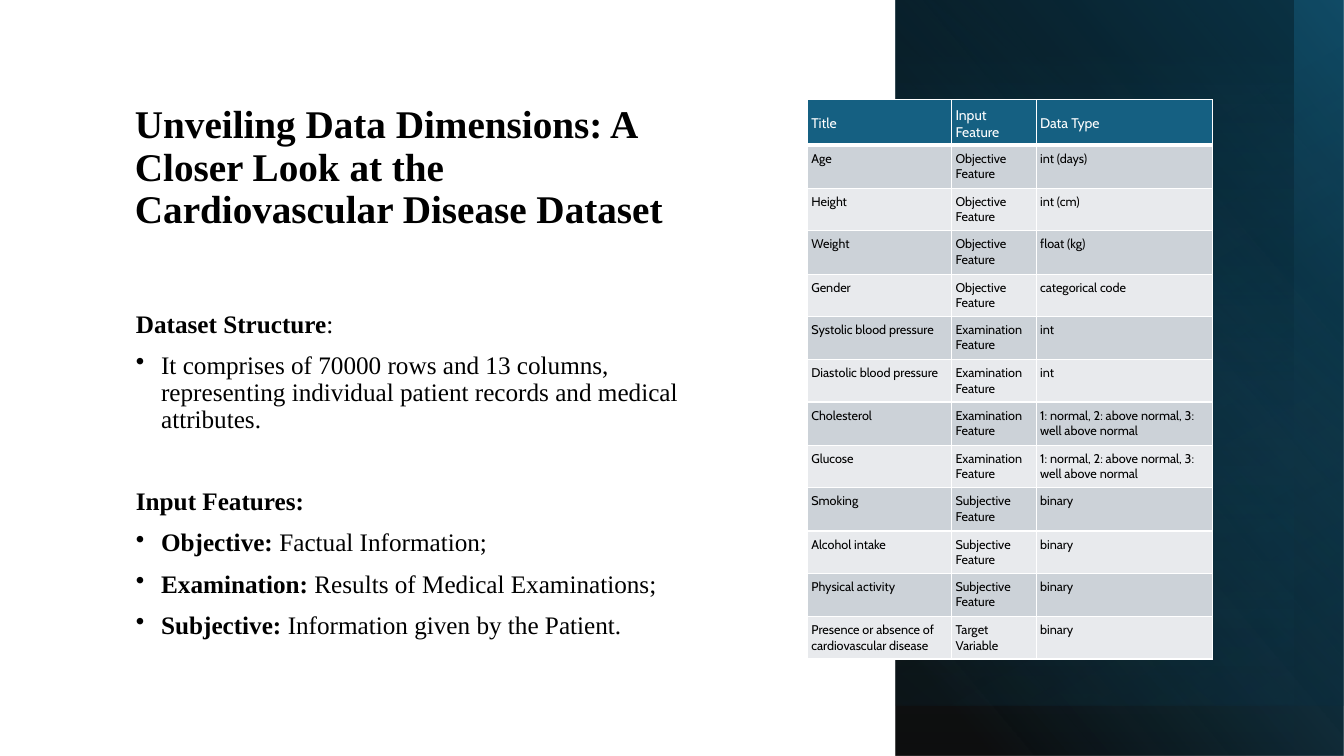
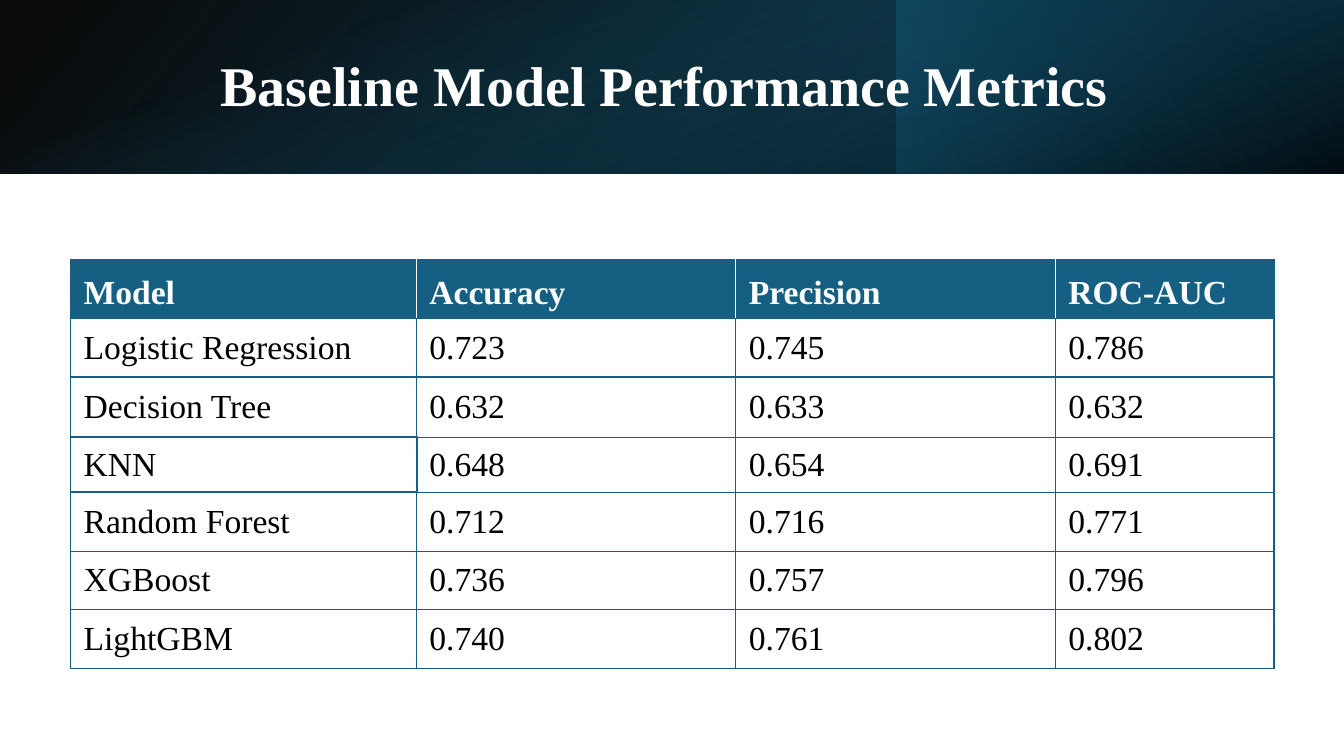
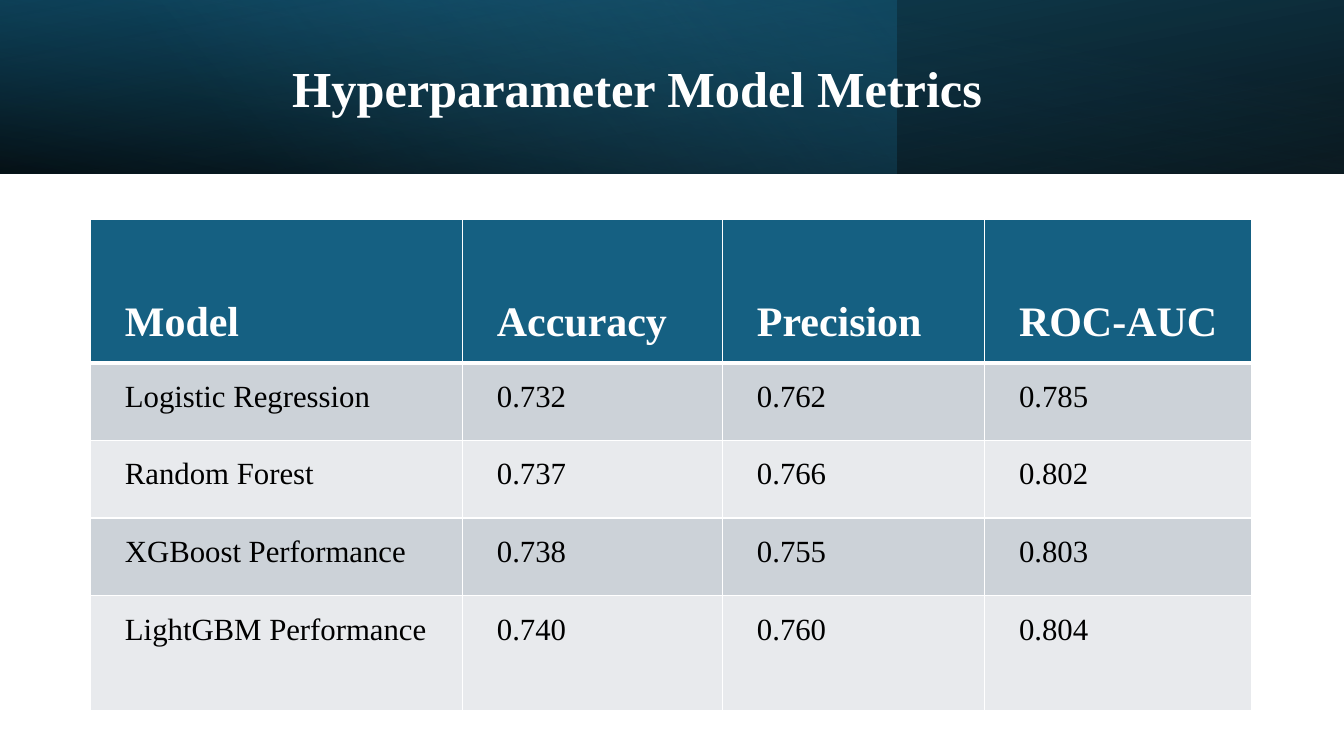
"""Build three slides on a cardiovascular data set and its model scores."""
from dataclasses import dataclass

from pptx import Presentation
from pptx.dml.color import RGBColor
from pptx.enum.shapes import MSO_SHAPE
from pptx.enum.text import MSO_ANCHOR
from pptx.oxml import parse_xml
from pptx.oxml.ns import nsdecls, qn
from pptx.util import Pt

PX = 9144
SERIF = "Times New Roman"
BLACK, WHITE, BLUE = "000000", "FFFFFF", "156082"
NAVY, DEEP_BLUE, SKY = "0B3041", "104862", "46B1E1"
STRIPES = ("CCD2D8", "E8EAED")
PLAIN_TABLE = "{2D5ABB26-0587-4C30-8999-92F81FD0307C}"
BAND_HEIGHT = 172
METRICS = ["Model", "Accuracy", "Precision", "ROC-AUC"]
FEATURES = [
    ["Title", "Input Feature", "Data Type"],
    ["Age", "Objective Feature", "int (days)"],
    ["Height", "Objective Feature", "int (cm)"],
    ["Weight", "Objective Feature", "float (kg)"],
    ["Gender", "Objective Feature", "categorical code"],
    ["Systolic blood pressure", "Examination Feature", "int"],
    ["Diastolic blood pressure", "Examination Feature", "int"],
    ["Cholesterol", "Examination Feature", "1: normal, 2: above normal, 3: well above normal"],
    ["Glucose", "Examination Feature", "1: normal, 2: above normal, 3: well above normal"],
    ["Smoking", "Subjective Feature", "binary"],
    ["Alcohol intake", "Subjective Feature", "binary"],
    ["Physical activity", "Subjective Feature", "binary"],
    ["Presence or absence of cardiovascular disease", "Target Variable", "binary"],
]
BASELINE = [
    METRICS,
    ["Logistic Regression", "0.723", "0.745", "0.786"],
    ["Decision Tree", "0.632", "0.633", "0.632"],
    ["KNN", "0.648", "0.654", "0.691"],
    ["Random Forest", "0.712", "0.716", "0.771"],
    ["XGBoost", "0.736", "0.757", "0.796"],
    ["LightGBM", "0.740", "0.761", "0.802"],
]
TUNED = [
    METRICS,
    ["Logistic Regression", "0.732", "0.762", "0.785"],
    ["Random Forest", "0.737", "0.766", "0.802"],
    ["XGBoost Performance", "0.738", "0.755", "0.803"],
    ["LightGBM Performance", "0.740", "0.760", "0.804"],
]


@dataclass
class TableStyle:
    """Hold the look of one table."""
    font: str
    header_size: int
    body_size: int
    header_bold: bool
    margins: tuple
    header_anchor: MSO_ANCHOR
    body_anchor: MSO_ANCHOR
    line: str = WHITE
    header_rule: int = 3
    header_fill: str = BLUE
    stripes: tuple = STRIPES


FEATURE_STYLE = TableStyle("Cabin", 10, 9, False, (4, 6, 4, 3), MSO_ANCHOR.MIDDLE, MSO_ANCHOR.TOP)
BASELINE_STYLE = TableStyle(SERIF, 24, 24, True, (13, 7, 13, 7), MSO_ANCHOR.BOTTOM,
                            MSO_ANCHOR.MIDDLE, BLUE, 1, BLUE, (None, None))
HIGHLIGHT_STYLE = TableStyle(SERIF, 18, 18, False, (10, 5, 10, 5), MSO_ANCHOR.TOP,
                             MSO_ANCHOR.TOP, BLUE, 1, None, (None, None))
TUNED_STYLE = TableStyle(SERIF, 30, 22, True, (34, 17, 25, 17), MSO_ANCHOR.BOTTOM, MSO_ANCHOR.TOP)


def px(length):
    """Turn px into EMU."""
    return length * PX


def colour(value):
    """Turn a hex string into a colour."""
    return RGBColor.from_string(value)


def apply_format(target, values):
    """Set each attribute in a dict of format values."""
    for name, value in values.items():
        setattr(target, name, value)


def format_font(font, name, size, bold, text_colour):
    """Set the face, size, weight and colour of a font."""
    apply_format(font, {"name": name, "size": Pt(size), "bold": bold})
    font.color.rgb = colour(text_colour)


def add_bullet(paragraph):
    """Give a paragraph a hanging bullet."""
    properties = paragraph._p.get_or_add_pPr()
    properties.set("marL", str(px(25)))
    properties.set("indent", str(px(-25)))
    properties.append(parse_xml(f'<a:buChar {nsdecls("a")} char="•"/>'))


def add_text(slide, frame, paragraphs, size, text_colour, anchor):
    """Add a text box from (runs, space before, bulleted) paragraphs."""
    text_frame = slide.shapes.add_textbox(*map(px, frame)).text_frame
    apply_format(text_frame, {"word_wrap": True, "vertical_anchor": anchor})
    for index, (runs, space_before, bulleted) in enumerate(paragraphs):
        paragraph = text_frame.add_paragraph() if index else text_frame.paragraphs[0]
        if bulleted:
            add_bullet(paragraph)
        apply_format(paragraph, {"line_spacing": 0.9, "space_before": Pt(space_before)})
        for text, bold in runs:
            run = paragraph.add_run()
            run.text = text
            format_font(run.font, SERIF, size, bold, text_colour)


def add_title(slide, frame, text, size, text_colour=WHITE, anchor=MSO_ANCHOR.MIDDLE):
    """Add a bold slide title."""
    add_text(slide, frame, [([(text, True)], 0, False)], size, text_colour, anchor)


def add_gradient(slide, frame, stops, angle, rotation=0, flipped=False):
    """Add a rectangle with (position, colour, opacity) gradient stops."""
    shape = slide.shapes.add_shape(MSO_SHAPE.RECTANGLE, *map(px, frame))
    shape.rotation = rotation
    shape.shadow.inherit = False
    shape.line.fill.background()
    properties = shape._element.spPr
    if flipped:
        properties.find(qn("a:xfrm")).set("flipH", "1")
    stop_list = "".join(
        f'<a:gs pos="{position * 1000}"><a:srgbClr val="{colour(value)}">'
        f'<a:alpha val="{opacity * 1000}"/></a:srgbClr></a:gs>'
        for position, value, opacity in stops)
    properties.find(qn("a:prstGeom")).addnext(parse_xml(
        f'<a:gradFill {nsdecls("a")} rotWithShape="1"><a:gsLst>{stop_list}</a:gsLst>'
        f'<a:lin ang="{angle * 60000}" scaled="0"/></a:gradFill>'))


def add_border(cell, side, line_colour, width):
    """Draw one side of a cell."""
    cell._tc.get_or_add_tcPr().append(parse_xml(
        f'<a:ln{side} {nsdecls("a")} w="{Pt(width)}"><a:solidFill>'
        f'<a:srgbClr val="{colour(line_colour)}"/></a:solidFill></a:ln{side}>'))


def format_cell(cell, text, row, is_first, is_last, style):
    """Write a cell and set its borders, fill and font."""
    is_header = row == 0
    divider = WHITE if is_header else style.line
    add_border(cell, "L", style.line if is_first else divider, 1)
    add_border(cell, "R", style.line if is_last else divider, 1)
    add_border(cell, "T", style.line, style.header_rule if row == 1 else 1)
    add_border(cell, "B", style.line, style.header_rule if is_header else 1)
    fill = style.header_fill if is_header else style.stripes[(row - 1) % 2]
    if fill:
        cell.fill.solid()
        cell.fill.fore_color.rgb = colour(fill)
    else:
        cell.fill.background()
    sides = ("margin_left", "margin_top", "margin_right", "margin_bottom")
    apply_format(cell, dict(zip(sides, map(px, style.margins))))
    cell.vertical_anchor = style.header_anchor if is_header else style.body_anchor
    cell.text = text
    format_font(cell.text_frame.paragraphs[0].font, style.font,
                style.header_size if is_header else style.body_size,
                is_header and style.header_bold, WHITE if is_header else BLACK)


def add_table(slide, left, top, widths, heights, records, style):
    """Add a table whose first record is the header."""
    frame = map(px, (left, top, sum(widths), sum(heights)))
    graphic = slide.shapes.add_table(len(heights), len(widths), *frame)
    table = graphic.table
    table._tbl.tblPr.find(qn("a:tableStyleId")).text = PLAIN_TABLE
    for column, width in zip(table.columns, widths):
        column.width = px(width)
    for table_row, height in zip(table.rows, heights):
        table_row.height = px(height)
    last = len(widths) - 1
    for row, record in enumerate(records):
        for column, text in enumerate(record):
            format_cell(table.cell(row, column), text, row, column == 0, column == last, style)


def build_dataset(slide):
    """Build the slide on the structure of the data set."""
    add_title(slide, (124, 55, 582, 180),
              "Unveiling Data Dimensions: A Closer Look at the Cardiovascular Disease Dataset",
              28, BLACK, MSO_ANCHOR.BOTTOM)
    structure = ("It comprises of 70000 rows and 13 columns, "
                 "representing individual patient records and medical attributes.")
    add_text(slide, (125, 304, 581, 346), [
        ([("Dataset Structure", True), (":", False)], 0, False),
        ([(structure, False)], 10, True),
        ([("Input Features:", True)], 39, False),
        ([("Objective: ", True), ("Factual Information;", False)], 10, True),
        ([("Examination:", True), (" Results of Medical Examinations;", False)], 10, True),
        ([("Subjective:", True), (" Information given by the Patient.", False)], 10, True),
    ], 18, BLACK, MSO_ANCHOR.TOP)
    for width, height, stops, angle in [
        (445, 750, [(8, BLACK, 94), (100, BLUE, 100)], 40),
        (445, 700, [(31, NAVY, 0), (100, NAVY, 26)], 300),
        (445, 700, [(0, BLUE, 0), (72, BLACK, 21)], 50),
        (395, 750, [(0, BLUE, 0), (93, BLACK, 29)], 90),
    ]:
        add_gradient(slide, (888, 0, width, height), stops, angle, 180, True)
    add_table(slide, 801, 99, [143, 84, 175], [45] + [43, 42] * 6, FEATURES, FEATURE_STYLE)


def build_baseline(slide):
    """Build the slide of baseline scores."""
    add_gradient(slide, (0, 0, 1334, BAND_HEIGHT),
                 [(0, BLACK, 96), (100, DEEP_BLUE, 100)], 140, 0, True)
    add_gradient(slide, (889, 0, 445, BAND_HEIGHT), [(19, NAVY, 68), (100, BLUE, 79)], 320, 180)
    add_gradient(slide, (581, -581, BAND_HEIGHT, 1334), [(23, BLUE, 0), (99, BLACK, 74)], 340, 90)
    add_title(slide, (209, 40, 916, 96), "Baseline Model Performance Metrics", 40)
    add_table(slide, 70, 258, [343, 317, 317, 217], [58, 58, 60, 55, 58, 58, 58],
              BASELINE, BASELINE_STYLE)
    add_table(slide, 70, 433, [344], [55], [[""]], HIGHLIGHT_STYLE)


def build_tuned(slide):
    """Build the slide of scores after tuning."""
    band = (0, 0, 1334, BAND_HEIGHT)
    add_gradient(slide, band, [(0, BLACK, 96), (100, DEEP_BLUE, 100)], 100, 180, True)
    add_gradient(slide, (0, 0, 889, BAND_HEIGHT), [(0, BLUE, 41), (74, SKY, 0)], 140)
    add_gradient(slide, band, [(0, BLACK, 63), (78, BLUE, 15)], 260, 0, True)
    add_title(slide, (280, 27, 772, 127), "Hyperparameter Model Metrics", 36)
    add_table(slide, 90, 218, [369, 258, 260, 265], [142, 77, 77, 77, 114], TUNED, TUNED_STYLE)


def main():
    """Build and save the presentation."""
    presentation = Presentation()
    apply_format(presentation, {"slide_width": 12192000, "slide_height": px(750)})
    for build in (build_dataset, build_baseline, build_tuned):
        build(presentation.slides.add_slide(presentation.slide_layouts[6]))
    presentation.save("out.pptx")


if __name__ == "__main__":
    main()
